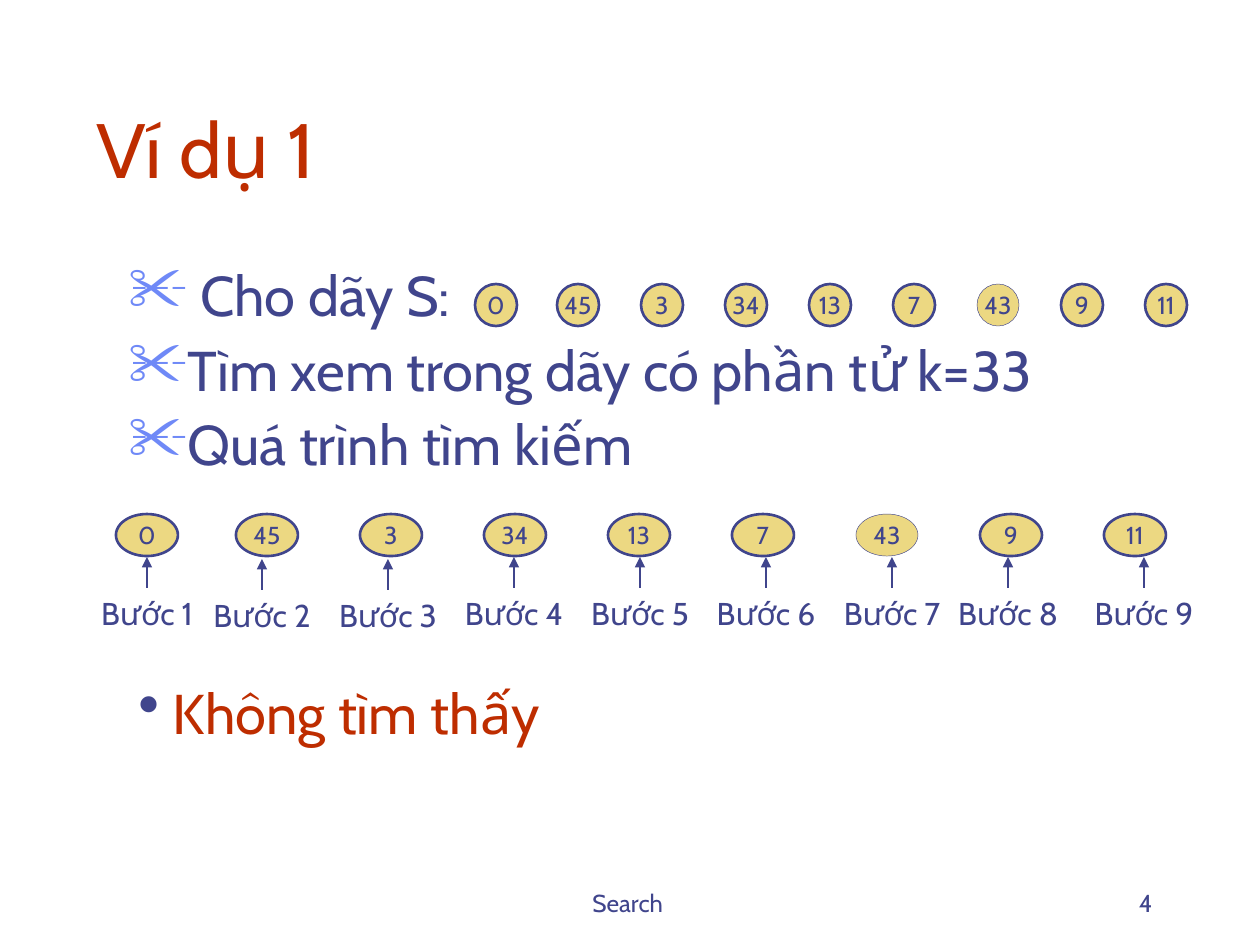
"""Build the first worked example of a sequential search: a sequence, nine steps and the result."""
import pptx
import pptx.dml.color
import pptx.enum.shapes
import pptx.enum.text
import pptx.oxml
import pptx.oxml.ns
import pptx.util

INDIGO = pptx.dml.color.RGBColor(0x40, 0x45, 0x8C)
BRICK = pptx.dml.color.RGBColor(0xBE, 0x2D, 0x00)
PERIWINKLE = pptx.dml.color.RGBColor(0x6F, 0x89, 0xF7)
SAND = pptx.dml.color.RGBColor(0xEC, 0xD8, 0x82)
ALIGN = pptx.enum.text.PP_ALIGN
ANCHOR = pptx.enum.text.MSO_ANCHOR
AUTO_SIZE = pptx.enum.text.MSO_AUTO_SIZE

SEQUENCE = [0, 45, 3, 34, 13, 7, 43, 9, 11]
THIN_OUTLINED = 43
LOWERED_STEPS = (2, 3)


def px(length):
    return pptx.util.Emu(round(length * 914400 / 126))


class SlideBuilder:
    font_name = "Cabin"
    line_width = 1.5

    def __init__(self, presentation):
        self.slide = presentation.slides.add_slide(presentation.slide_layouts[6])

    def add_run(self, paragraph, text, size, color=INDIGO):
        run = paragraph.add_run()
        run.text = text
        run.font.name = self.font_name
        run.font.size = pptx.util.Pt(size)
        run.font.color.rgb = color

    def add_bullet(self, paragraph, character, color, hanging=0):
        properties = paragraph._p.get_or_add_pPr()
        properties.set("marL", str(px(hanging)))
        properties.set("indent", str(-px(hanging)))
        namespace = pptx.oxml.ns.nsdecls("a")
        for markup in (
            f'<a:buClr {namespace}><a:srgbClr val="{color}"/></a:buClr>',
            f'<a:buSzPct {namespace} val="110000"/>',
            f'<a:buChar {namespace} char="{character}"/>',
        ):
            properties.append(pptx.oxml.parse_xml(markup))

    def add_text_box(self, left, top, width, height, anchor=ANCHOR.TOP, grows=False):
        frame = self.slide.shapes.add_textbox(px(left), px(top), px(width), px(height)).text_frame
        frame.word_wrap = True
        frame.vertical_anchor = anchor
        if grows:
            frame.auto_size = AUTO_SIZE.SHAPE_TO_FIT_TEXT
        return frame

    def add_label(self, box, text, size, alignment, color=INDIGO):
        paragraph = self.add_text_box(*box, anchor=ANCHOR.BOTTOM).paragraphs[0]
        paragraph.alignment = alignment
        self.add_run(paragraph, text, size, color)

    def add_bullet_list(self, box, items):
        frame = self.add_text_box(*box)
        for index, item in enumerate(items):
            paragraph = frame.add_paragraph() if index else frame.paragraphs[0]
            paragraph.line_spacing = 0.9
            paragraph.space_before = pptx.util.Pt(8)
            self.add_bullet(paragraph, "✂", PERIWINKLE, hanging=48)
            self.add_run(paragraph, item, 32)

    def add_element(self, left, top, width, height, value):
        shape = self.slide.shapes.add_shape(
            pptx.enum.shapes.MSO_SHAPE.OVAL, px(left), px(top), px(width), px(height))
        shape.shadow.inherit = False
        shape.fill.solid()
        shape.fill.fore_color.rgb = SAND
        shape.line.color.rgb = INDIGO
        shape.line.width = pptx.util.Pt(0.25 if value == THIN_OUTLINED else self.line_width)
        frame = shape.text_frame
        frame.word_wrap = False
        frame.vertical_anchor = ANCHOR.MIDDLE
        frame.paragraphs[0].alignment = ALIGN.CENTER
        self.add_run(frame.paragraphs[0], str(value), 14)

    def add_sequence(self, first_left, second_left, pitch, top, width, height):
        lefts = [first_left] + [second_left + pitch * index for index in range(len(SEQUENCE) - 1)]
        for left, value in zip(lefts, SEQUENCE):
            self.add_element(left, top, width, height, value)

    def add_arrow(self, center, bottom, length):
        arrow = self.slide.shapes.add_connector(
            pptx.enum.shapes.MSO_CONNECTOR.STRAIGHT,
            px(center), px(bottom), px(center), px(bottom - length))
        arrow.line.color.rgb = INDIGO
        arrow.line.width = pptx.util.Pt(self.line_width)
        namespace = pptx.oxml.ns.nsdecls("a")
        arrow.line._get_or_add_ln().append(
            pptx.oxml.parse_xml(f'<a:tailEnd {namespace} type="triangle"/>'))
        arrow._element.spPr.append(pptx.oxml.parse_xml(f"<a:effectLst {namespace}/>"))

    def add_step(self, number, center, top):
        frame = self.add_text_box(center - 84, top, 168, 50, grows=True)
        paragraph = frame.paragraphs[0]
        paragraph.alignment = ALIGN.CENTER
        paragraph.space_before = pptx.util.Pt(11.2)
        self.add_run(paragraph, f"Bước {number}", 18)
        self.add_arrow(center, top, 31)

    def add_result(self, box, text):
        paragraph = self.add_text_box(*box, grows=True).paragraphs[0]
        paragraph.alignment = ALIGN.JUSTIFY
        paragraph.space_before = pptx.util.Pt(20)
        self.add_bullet(paragraph, "•", INDIGO)
        self.add_run(paragraph, " ", 32)
        self.add_run(paragraph, text, 32, BRICK)


def main():
    presentation = pptx.Presentation()
    presentation.slide_width = px(1260)
    presentation.slide_height = px(945)
    builder = SlideBuilder(presentation)

    builder.add_label((431, 861, 399, 63), "Search ", 14, ALIGN.CENTER)
    builder.add_label((903, 861, 262, 63), "4", 14, ALIGN.RIGHT)
    builder.add_label((84, 42, 1071, 158), "Ví dụ 1", 44, ALIGN.LEFT, BRICK)
    builder.add_bullet_list((116, 262, 1071, 231), [
        " Cho dãy S:",
        "Tìm xem trong dãy có phần tử k=33",
        "Quá trình tìm kiếm",
    ])

    builder.add_sequence(475, 557, 84, top=284, width=42, height=42)
    builder.add_sequence(116, 236, 124, top=514, width=62, height=42)

    centers = [147] + [262 + 126 * index for index in range(6)] + [1008, 1144]
    for number, center in enumerate(centers, start=1):
        builder.add_step(number, center, 590 if number in LOWERED_STEPS else 588)

    builder.add_result((126, 672, 882, 81), "Không tìm thấy")
    presentation.save("out.pptx")


if __name__ == "__main__":
    main()
